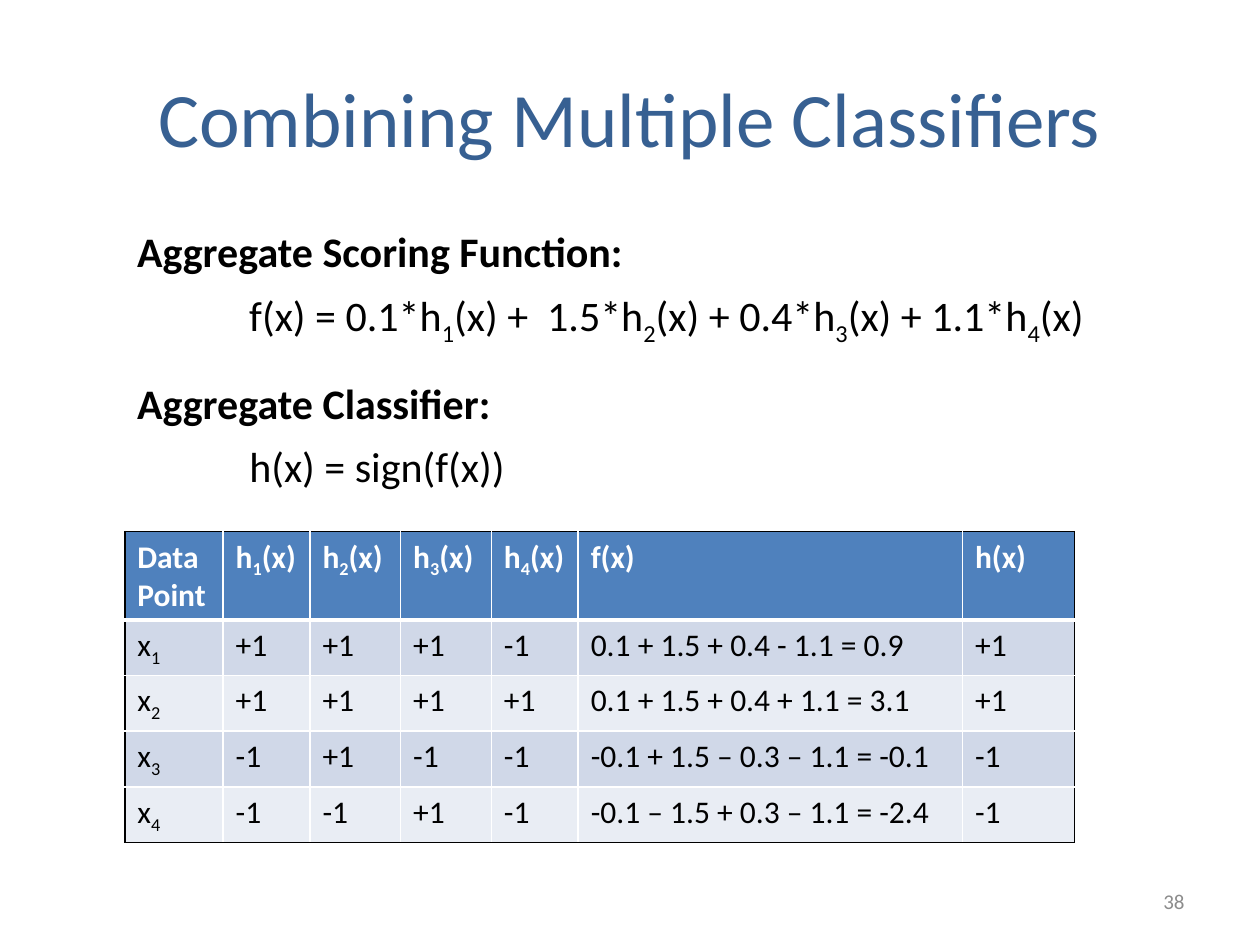
"""Build the slide on combining multiple classifiers into one score."""
from lxml import etree
from pptx import Presentation
from pptx.dml.color import RGBColor
from pptx.enum.text import MSO_ANCHOR, PP_ALIGN
from pptx.oxml.ns import qn
from pptx.util import Inches, Pt

COLORS = {
    "title": "376092", "number": "8C8C8C", "text": "000000", "frame": "000000",
    "header": "4F81BD", "header_text": "FFFFFF", "grid": "FFFFFF",
    "odd": "D0D8E8", "even": "E9EDF4",
}
FONT = "Calibri"

TITLE = "Combining Multiple Classifiers"
PAGE_NUMBER = "38"
HEADINGS = [
    ("Aggregate Scoring Function:", (0.99, 1.74, 4.11, 0.5)),
    ("Aggregate Classifier:", (0.99, 2.95, 3.05, 0.5)),
]
FORMULAS = [
    ("f(x) = 0.1*h_1(x) +  1.5*h_2(x) + 0.4*h_3(x) + 1.1*h_4(x)", (1.38, 2.25, 7.66, 0.5)),
    ("h(x) = sign(f(x))", (1.38, 3.45, 5.51, 0.5)),
]
SCORES = [
    ("Data Point", "h_1(x)", "h_2(x)", "h_3(x)", "h_4(x)", "f(x)", "h(x)"),
    ("x_1", "+1", "+1", "+1", "-1", "0.1 + 1.5 + 0.4 - 1.1 = 0.9", "+1"),
    ("x_2", "+1", "+1", "+1", "+1", "0.1 + 1.5 + 0.4 + 1.1 = 3.1", "+1"),
    ("x_3", "-1", "+1", "-1", "-1", "-0.1 + 1.5 – 0.3 – 1.1 = -0.1", "-1"),
    ("x_4", "-1", "-1", "+1", "-1", "-0.1 – 1.5 + 0.3 – 1.1 = -2.4", "-1"),
]
COLUMN_WIDTHS = [0.78, 0.69, 0.72, 0.72, 0.69, 3.05, 0.89]
ROW_HEIGHT = 0.41
TABLE_LEFT, TABLE_TOP = 0.99, 4.22


def write(paragraph, content, size, color, bold=False):
    """Fill a paragraph, setting the character after each underscore as a subscript."""
    first, *rest = content.split("_")
    paragraph.add_run().text = first
    for part in rest:
        index = paragraph.add_run()
        index.text = part[0]
        index._r.get_or_add_rPr().set("baseline", "-25000")
        if part[1:]:
            paragraph.add_run().text = part[1:]
    font = paragraph.font
    font.name, font.size, font.bold = FONT, Pt(size), bold
    font.color.rgb = RGBColor.from_string(COLORS[color])


def add_text(slide, content, box, size, color, bold=False, wrap=True,
             align=PP_ALIGN.LEFT, anchor=MSO_ANCHOR.TOP, indent=0):
    """Add a text box with one paragraph."""
    frame = slide.shapes.add_textbox(*map(Inches, box)).text_frame
    frame.word_wrap, frame.vertical_anchor = wrap, anchor
    paragraph = frame.paragraphs[0]
    paragraph.alignment = align
    if indent:
        paragraph.level = 1
        properties = paragraph._p.get_or_add_pPr()
        properties.set("marL", str(Inches(indent)))
        properties.set("indent", "0")
    write(paragraph, content, size, color, bold)


def add_border(cell, side, color, width):
    """Draw one solid side of a cell."""
    line = etree.SubElement(cell._tc.get_or_add_tcPr(), qn(f"a:ln{side}"), w=str(Pt(width)))
    fill = etree.SubElement(line, qn("a:solidFill"))
    etree.SubElement(fill, qn("a:srgbClr"), val=COLORS[color])


def add_scores(slide):
    """Add the table of votes, scores and resulting classes."""
    last_row, last_column = len(SCORES) - 1, len(COLUMN_WIDTHS) - 1
    size = (sum(COLUMN_WIDTHS), ROW_HEIGHT * len(SCORES))
    table = slide.shapes.add_table(
        len(SCORES), len(COLUMN_WIDTHS), *map(Inches, (TABLE_LEFT, TABLE_TOP, *size))).table
    for column, width in zip(table.columns, COLUMN_WIDTHS):
        column.width = Inches(width)
    for r, row in enumerate(SCORES):
        table.rows[r].height = Inches(ROW_HEIGHT)
        header = r == 0
        background = "header" if header else "odd" if r % 2 else "even"
        for c, content in enumerate(row):
            cell = table.cell(r, c)
            outer = {"L": c == 0, "R": c == last_column, "T": header, "B": r == last_row}
            for side, is_outer in outer.items():
                below_header = (r, side) in ((0, "B"), (1, "T"))
                add_border(cell, side, "frame" if is_outer else "grid", 3 if below_header else 1)
            cell.fill.solid()
            cell.fill.fore_color.rgb = RGBColor.from_string(COLORS[background])
            write(cell.text_frame.paragraphs[0], content, 18,
                  "header_text" if header else "text", header)


def main():
    """Lay out the slide and save it."""
    deck = Presentation()
    deck.slide_width, deck.slide_height = Inches(10), Inches(7.5)
    slide = deck.slides.add_slide(deck.slide_layouts[6])
    add_text(slide, TITLE, (0.5, 0.3, 9, 1.25), 44, "title",
             align=PP_ALIGN.CENTER, anchor=MSO_ANCHOR.MIDDLE)
    add_text(slide, PAGE_NUMBER, (7.17, 6.95, 2.33, 0.4), 12, "number",
             align=PP_ALIGN.RIGHT, anchor=MSO_ANCHOR.MIDDLE)
    add_scores(slide)
    for formula, box in FORMULAS:
        add_text(slide, formula, box, 24, "text", indent=0.5)
    for heading, box in HEADINGS:
        add_text(slide, heading, box, 24, "text", bold=True, wrap=False)
    deck.save("out.pptx")


if __name__ == "__main__":
    main()
